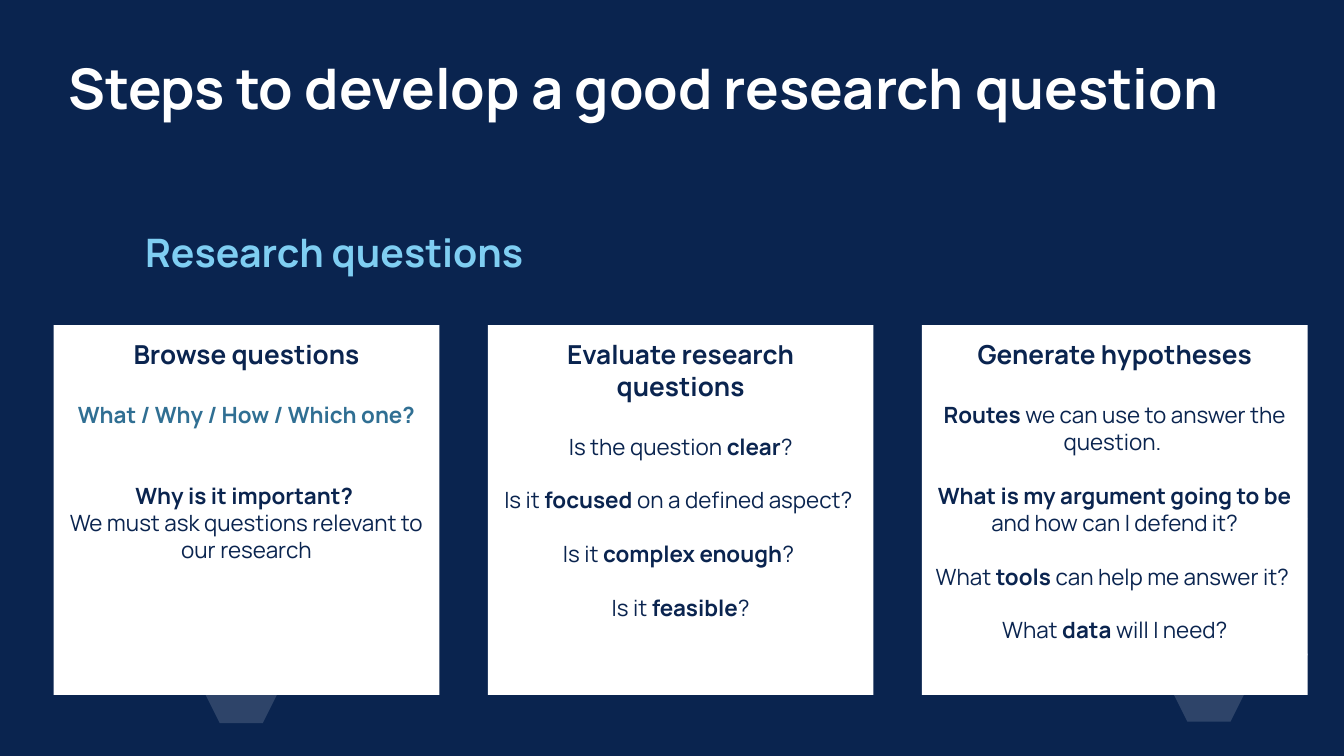
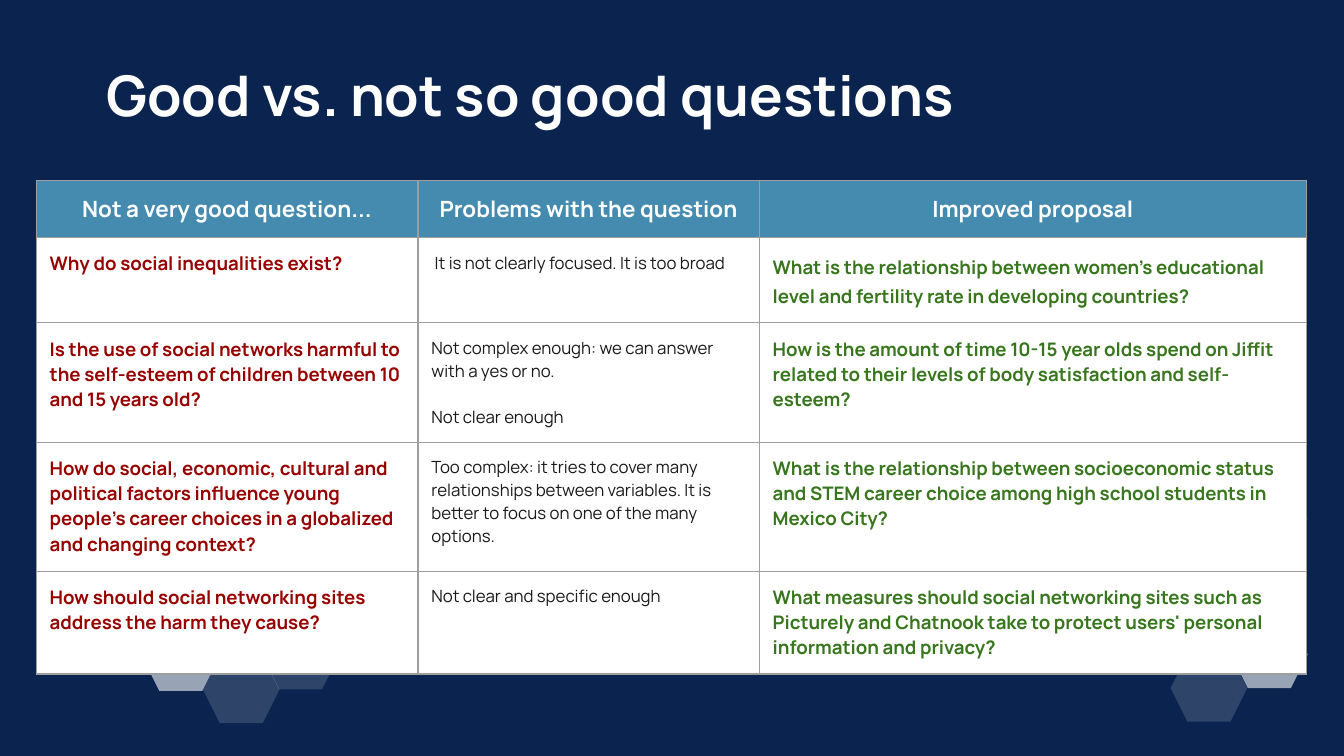
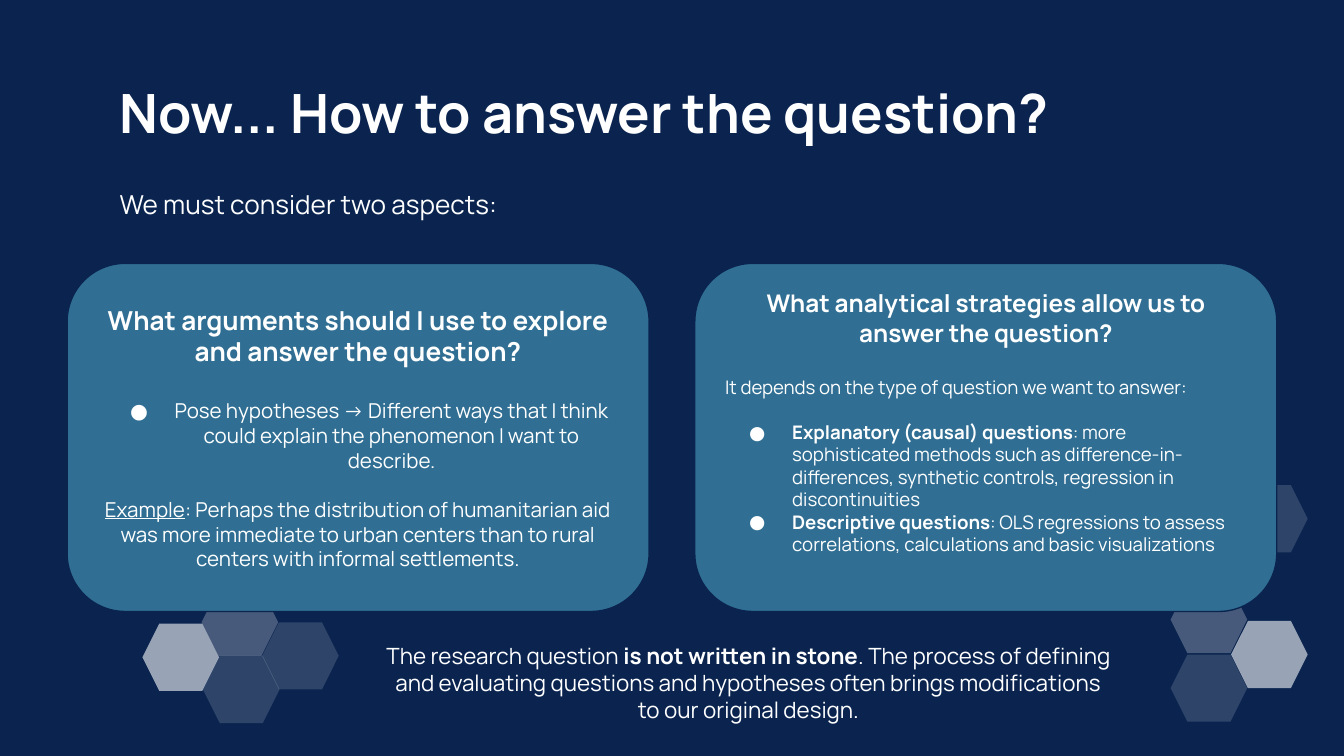
from dataclasses import dataclass
from typing import NamedTuple, Sequence

import pptx
import pptx.dml.color
import pptx.enum.shapes
import pptx.enum.text
import pptx.oxml
import pptx.oxml.ns
import pptx.util
from lxml import etree
from pptx.dml.color import RGBColor
from pptx.enum.shapes import MSO_SHAPE
from pptx.enum.text import MSO_ANCHOR, MSO_AUTO_SIZE, PP_ALIGN
from pptx.util import Inches

# Shared look
FONT = "Manrope"
NAVY = RGBColor(0x0A, 0x24, 0x4F)
WHITE = RGBColor(0xFF, 0xFF, 0xFF)
SKY = RGBColor(0x7F, 0xCE, 0xF2)
TEAL = RGBColor(0x30, 0x6F, 0x93)
HEADER_BLUE = RGBColor(0x44, 0x8B, 0xAF)
DARK_RED = RGBColor(0x98, 0x00, 0x00)
GREEN = RGBColor(0x38, 0x76, 0x1D)
INK = RGBColor(0x19, 0x19, 0x19)
GRID_GREY = RGBColor(0x9E, 0x9E, 0x9E)
MARGIN = Inches(0.1)
SLIDE_WIDTH = 10
TITLE_AND_BODY, TITLE_ONLY = 1, 5
CENTER, LEFT = PP_ALIGN.CENTER, PP_ALIGN.LEFT


class Box(NamedTuple):
    left: float
    top: float
    width: float
    height: float

    def lengths(self) -> list[pptx.util.Length]:
        return [Inches(value) for value in self]


class Hexagon(NamedTuple):
    left: float
    top: float
    opacity: int


@dataclass(frozen=True)
class Line:
    """One paragraph; parts between ** marks are emphasized."""
    text: str
    size: float = 12
    color: RGBColor = NAVY
    bold: bool = False
    align: PP_ALIGN = CENTER
    gap: float = 0
    spacing: float = 1.0
    bullet_indent: float = 0
    emphasis: str = "bold"


# Hexagon clusters in the lower corners
BASE_HEXAGONS = [Hexagon(9.16, 3.61, 15), Hexagon(9.16, 4.62, 58),
                 Hexagon(8.71, 4.87, 15), Hexagon(1.51, 4.88, 15)]
SIDE_HEXAGONS = [Hexagon(1.95, 4.63, 15), Hexagon(1.06, 4.64, 58)]
UPPER_HEXAGONS = [Hexagon(8.71, 4.36, 25), Hexagon(1.5, 4.38, 25)]


# Text helpers
def add_sub(parent, tag: str, **attributes: str):
    return etree.SubElement(parent, pptx.oxml.ns.qn(tag), attributes)


def set_bullet(paragraph, indent: float, color: RGBColor) -> None:
    properties = paragraph._p.get_or_add_pPr()
    properties.set("marL", str(Inches(0.5)))
    properties.set("indent", str(-Inches(indent)))
    add_sub(add_sub(properties, "a:buClr"), "a:srgbClr", val=str(color))
    add_sub(properties, "a:buFont", typeface=FONT)
    add_sub(properties, "a:buChar", char="●")


def remove_bullet(paragraph) -> None:
    properties = paragraph._p.get_or_add_pPr()
    properties.set("marL", "0")
    properties.set("indent", "0")
    add_sub(properties, "a:buNone")


def write_line(paragraph, line: Line) -> None:
    if line.bullet_indent:
        set_bullet(paragraph, line.bullet_indent, line.color)
    paragraph.alignment = line.align
    paragraph.space_before = pptx.util.Pt(line.gap)
    paragraph.line_spacing = line.spacing
    font = paragraph.font
    font.name, font.size, font.bold = FONT, pptx.util.Pt(line.size), line.bold
    font.color.rgb = line.color
    for index, part in enumerate(line.text.split("**")):
        if part:
            run = paragraph.add_run()
            run.text = part
            if index % 2:
                setattr(run.font, line.emphasis, True)


def write_lines(frame, lines: Sequence[Line]) -> None:
    for index, line in enumerate(lines):
        write_line(frame.add_paragraph() if index else frame.paragraphs[0], line)


def set_frame(frame, anchor: MSO_ANCHOR = MSO_ANCHOR.TOP) -> None:
    frame.word_wrap = True
    frame.auto_size = MSO_AUTO_SIZE.NONE
    frame.vertical_anchor = anchor
    frame.margin_left = frame.margin_right = MARGIN
    frame.margin_top = frame.margin_bottom = MARGIN


# Shape helpers
def place(shape, box: Box) -> None:
    shape.left, shape.top, shape.width, shape.height = box.lengths()


def fill_placeholder(shape, box: Box, line: Line) -> None:
    place(shape, box)
    set_frame(shape.text_frame)
    write_lines(shape.text_frame, [line])


def add_subtitle(slide, box: Box, line: Line) -> None:
    body = slide.placeholders[1]
    remove_bullet(body.text_frame.paragraphs[0])
    fill_placeholder(body, box, line)


def add_hexagons(slide, hexagons: Sequence[Hexagon]) -> None:
    for hexagon in hexagons:
        box = Box(hexagon.left, hexagon.top, 0.57, 0.5)
        shape = slide.shapes.add_shape(MSO_SHAPE.HEXAGON, *box.lengths())
        shape.rotation = 180
        shape.shadow.inherit = False
        shape.line.fill.background()
        shape.fill.solid()
        shape.fill.fore_color.rgb = WHITE
        color = shape.fill._xPr.find(".//" + pptx.oxml.ns.qn("a:srgbClr"))
        add_sub(color, "a:alpha", val=str(hexagon.opacity * 1000))


def add_card(slide, kind: MSO_SHAPE, box: Box, fill: RGBColor,
             lines: Sequence[Line], anchor: MSO_ANCHOR = MSO_ANCHOR.TOP):
    card = slide.shapes.add_shape(kind, *box.lengths())
    card.shadow.inherit = False
    card.fill.solid()
    card.fill.fore_color.rgb = fill
    card.line.fill.background()
    set_frame(card.text_frame, anchor)
    write_lines(card.text_frame, lines)
    return card


def set_borders(cell) -> None:
    properties = cell._tc.get_or_add_tcPr()
    for side in ("a:lnL", "a:lnR", "a:lnT", "a:lnB"):
        border = add_sub(properties, side, w=str(pptx.util.Pt(0.75)))
        add_sub(add_sub(border, "a:solidFill"), "a:srgbClr", val=str(GRID_GREY))


def fill_cell(cell, lines: Sequence[Line], fill: RGBColor) -> None:
    set_borders(cell)
    cell.fill.solid()
    cell.fill.fore_color.rgb = fill
    cell.margin_left = cell.margin_right = MARGIN
    cell.margin_top = cell.margin_bottom = MARGIN
    write_lines(cell.text_frame, lines)


def start_slide(presentation, layout: int, title: str, box: Box,
                hexagons: Sequence[Hexagon], size: float = 30):
    slide = presentation.slides.add_slide(presentation.slide_layouts[layout])
    fill_placeholder(slide.shapes.title, box,
                     Line(title, size, WHITE, True, LEFT))
    add_hexagons(slide, hexagons)
    return slide


# Slide 1: three steps
STEP_CARDS = [
    [Line("Browse questions", 14, bold=True),
     Line("What / Why / How / Which one?", color=TEAL, bold=True, gap=16.8),
     Line("Why is it important? ", bold=True, gap=28.8),
     Line("We must ask questions relevant to our research")],
    [Line("Evaluate research questions", 14, bold=True),
     Line("Is the question **clear**?", gap=16.8),
     Line("Is it **focused **on a defined aspect? ", gap=14.4),
     Line("Is it **complex enough**? ", gap=14.4),
     Line("Is it **feasible**?", gap=14.4)],
    [Line("Generate hypotheses", 14, bold=True),
     Line("**Routes **we can use to answer the question. ", gap=16.8),
     Line("**What is my argument going to be** and how can I defend it?", gap=14.4),
     Line("What **tools **can help me answer it? ", gap=14.4),
     Line("What **data **will I need?", gap=14.4)],
]


def build_steps(presentation) -> None:
    slide = start_slide(presentation, TITLE_AND_BODY,
                        "Steps to develop a good research question",
                        Box(0.41, 0.3, 9.07, 0.63), BASE_HEXAGONS)
    add_subtitle(slide, Box(0.98, 1.6, 4.81, 0.63),
                 Line("Research questions", 21, SKY, True, LEFT))
    width, gap = 2.87, 0.36
    for index, lines in enumerate(STEP_CARDS):
        box = Box(0.4 + index * (width + gap), 2.42, width, 2.75)
        add_card(slide, MSO_SHAPE.RECTANGLE, box, WHITE, lines)


# Slide 2: comparison table
class Comparison(NamedTuple):
    height: float
    question: str
    problems: Sequence[str]
    proposal: str
    proposal_spacing: float = 1.0


HEADERS = ["Not a very good question...", "Problems with the question",
           "Improved proposal"]
COLUMN_WIDTHS = [2.84, 2.54, 4.07]
HEADER_HEIGHT = 0.42
COMPARISONS = [
    Comparison(0.63, "Why do social inequalities exist?",
               [" It is not clearly focused. It is too broad"],
               "What is the relationship between women's educational level and "
               "fertility rate in developing countries?", 1.15),
    Comparison(0.88, "Is the use of social networks harmful to the self-esteem of "
               "children between 10 and 15 years old?",
               ["Not complex enough: we can answer with a yes or no.",
                "Not clear enough"],
               "How is the amount of time 10-15 year olds spend on Jiffit related "
               "to their levels of body satisfaction and self-esteem?"),
    Comparison(0.96, "How do social, economic, cultural and political factors "
               "influence young people's career choices in a globalized and "
               "changing context?",
               ["Too complex: it tries to cover many relationships between "
                "variables. It is better to focus on one of the many options."],
               "What is the relationship between socioeconomic status and STEM "
               "career choice among high school students in Mexico City?"),
    Comparison(0.76, "How should social networking sites address the harm they "
               "cause?",
               ["Not clear and specific enough"],
               "What measures should social networking sites such as Picturely "
               "and Chatnook take to protect users' personal information and "
               "privacy?"),
]


def build_comparison(presentation) -> None:
    slide = start_slide(presentation, TITLE_ONLY, "Good vs. not so good questions",
                        Box(0.69, 0.35, 8.43, 0.63), BASE_HEXAGONS + SIDE_HEXAGONS)
    heights = [HEADER_HEIGHT] + [row.height for row in COMPARISONS]
    box = Box(0.27, 1.34, sum(COLUMN_WIDTHS), sum(heights))
    table = slide.shapes.add_table(len(heights), len(HEADERS), *box.lengths()).table
    table.horz_banding = False
    for column, width in zip(table.columns, COLUMN_WIDTHS):
        column.width = Inches(width)
    for row, height in zip(table.rows, heights):
        row.height = Inches(height)
    for index, header in enumerate(HEADERS):
        fill_cell(table.cell(0, index), [Line(header, 12, WHITE, True)], HEADER_BLUE)
    for index, row in enumerate(COMPARISONS, start=1):
        cells = [
            [Line(row.question, 10, DARK_RED, True, LEFT)],
            [Line(text, 9, INK, align=LEFT, gap=12.4 if position else 0)
             for position, text in enumerate(row.problems)],
            [Line(row.proposal, 10, GREEN, True, LEFT,
                  spacing=row.proposal_spacing)],
        ]
        for column, lines in enumerate(cells):
            fill_cell(table.cell(index, column), lines, WHITE)


# Slide 3: two aspects of the answer
ASPECT_CARDS = [
    [Line("What arguments should I use to explore and answer the question?",
          14, WHITE, True),
     Line("Pose hypotheses → Different ways that I think could explain the "
          "phenomenon I want to describe.", 11, WHITE, gap=16.8,
          bullet_indent=0.33),
     Line("**Example**: Perhaps the distribution of humanitarian aid was more "
          "immediate to urban centers than to rural centers with informal "
          "settlements.", 11, WHITE, gap=13.2, emphasis="underline")],
    [Line("What analytical strategies allow us to answer the question?",
          13, WHITE, True),
     Line("It depends on the type of question we want to answer:",
          10, WHITE, align=LEFT, gap=15.6),
     Line("**Explanatory (causal) questions**: more sophisticated methods such as "
          "difference-in-differences, synthetic controls, regression in "
          "discontinuities", 10, WHITE, align=LEFT, gap=12, bullet_indent=0.32),
     Line("**Descriptive questions**: OLS regressions to assess correlations, "
          "calculations and basic visualizations", 10, WHITE, align=LEFT,
          bullet_indent=0.32)],
]
ASPECT_BOTTOM_MARGINS = [0.1, 0.33]


def build_aspects(presentation) -> None:
    slide = start_slide(presentation, TITLE_AND_BODY,
                        "Now... How to answer the question?",
                        Box(0.79, 0.49, 8.92, 0.63),
                        BASE_HEXAGONS + SIDE_HEXAGONS + UPPER_HEXAGONS, size=29)
    add_subtitle(slide, Box(0.79, 1.27, 8.34, 2.41),
                 Line("We must consider two aspects:", 14, WHITE, align=LEFT,
                      spacing=1.15))
    width, gap = 4.33, 0.34
    for index, (lines, bottom) in enumerate(zip(ASPECT_CARDS, ASPECT_BOTTOM_MARGINS)):
        box = Box(0.5 + index * (width + gap), 1.96, width, 2.59)
        card = add_card(slide, MSO_SHAPE.ROUNDED_RECTANGLE, box, TEAL, lines,
                        MSO_ANCHOR.MIDDLE)
        card.line.color.rgb = NAVY
        card.line.width = pptx.util.Pt(0.75)
        card.text_frame.margin_bottom = Inches(bottom)
    closing = slide.shapes.add_textbox(*Box(2.76, 4.68, 5.62, 0.7).lengths())
    set_frame(closing.text_frame)
    write_lines(closing.text_frame, [
        Line("The research question **is not written in stone**. The process of "
             "defining and evaluating questions and hypotheses often brings "
             "modifications to our original design.", 12, WHITE)])


def main() -> None:
    presentation = pptx.Presentation()
    presentation.slide_width = Inches(SLIDE_WIDTH)
    presentation.slide_height = Inches(SLIDE_WIDTH * 9 / 16)
    background = presentation.slide_master.background.fill
    background.solid()
    background.fore_color.rgb = NAVY
    build_steps(presentation)
    build_comparison(presentation)
    build_aspects(presentation)
    presentation.save("out.pptx")


if __name__ == "__main__":
    main()
